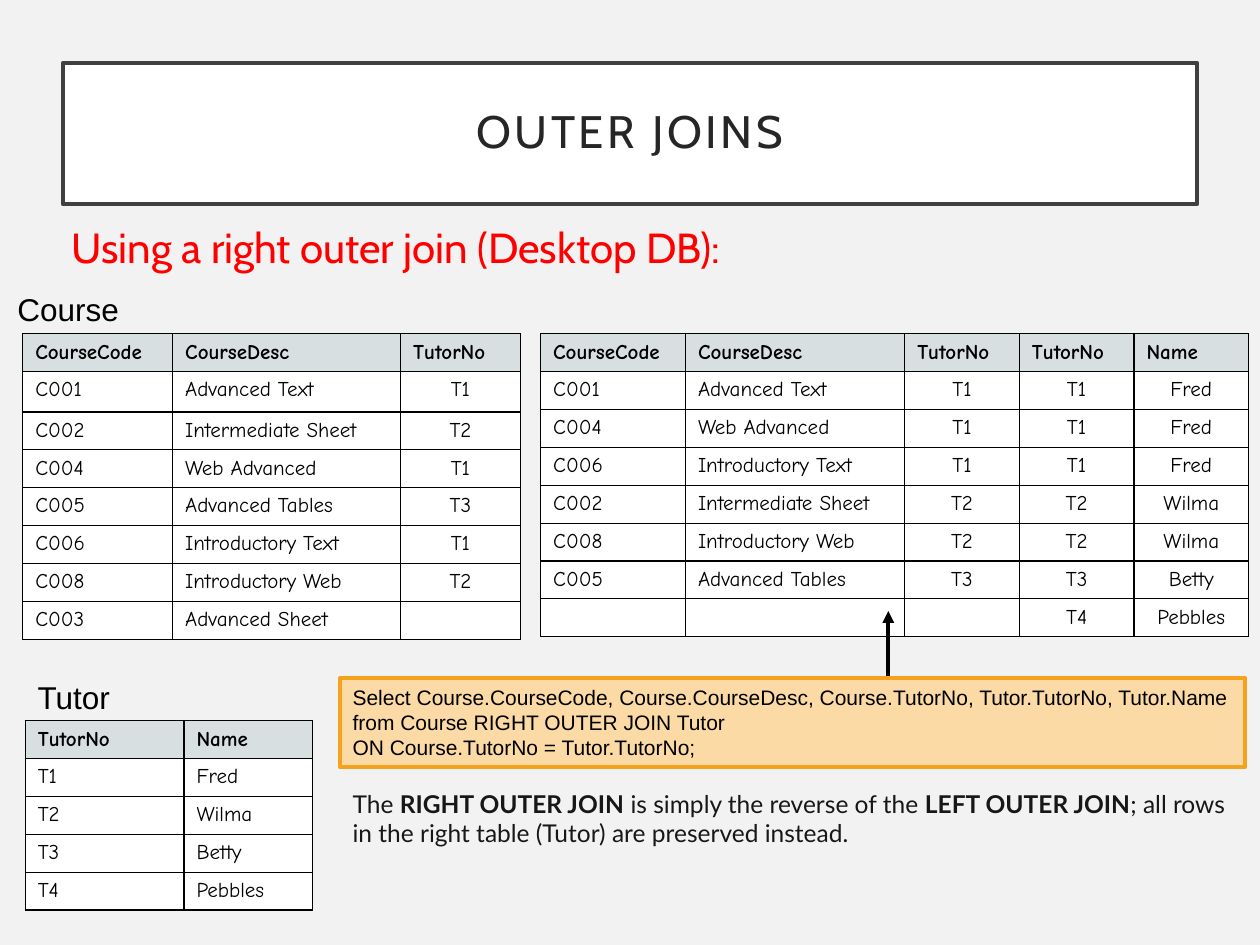
from lxml import etree
from pptx import Presentation
from pptx.dml.color import RGBColor
from pptx.enum import shapes, text
from pptx.oxml.ns import qn
from pptx.util import Inches, Pt

# Content
TITLE = "OUTER JOINS"
SUBTITLE = "Using a right outer join (Desktop DB):"
QUERY = [
    "Select Course.CourseCode, Course.CourseDesc, Course.TutorNo, Tutor.TutorNo, Tutor.Name",
    "from Course RIGHT OUTER JOIN Tutor",
    "ON Course.TutorNo = Tutor.TutorNo;",
]
EXPLANATION = [
    ("The ", False),
    ("RIGHT OUTER JOIN", True),
    (" is simply the reverse of the ", False),
    ("LEFT OUTER JOIN", True),
    ("; all rows in the right table (Tutor) are preserved instead.", False),
]
COURSES = [
    ("CourseCode", "CourseDesc", "TutorNo"),
    ("C001", "Advanced Text", "T1"),
    ("C002", "Intermediate Sheet", "T2"),
    ("C004", "Web Advanced", "T1"),
    ("C005", "Advanced Tables", "T3"),
    ("C006", "Introductory Text", "T1"),
    ("C008", "Introductory Web", "T2"),
    ("C003", "Advanced Sheet", ""),
]
TUTORS = [
    ("TutorNo", "Name"),
    ("T1", "Fred"),
    ("T2", "Wilma"),
    ("T3", "Betty"),
    ("T4", "Pebbles"),
]
JOINED_ROWS = [
    ("CourseCode", "CourseDesc", "TutorNo", "TutorNo", "Name"),
    ("C001", "Advanced Text", "T1", "T1", "Fred"),
    ("C004", "Web Advanced", "T1", "T1", "Fred"),
    ("C006", "Introductory Text", "T1", "T1", "Fred"),
    ("C002", "Intermediate Sheet", "T2", "T2", "Wilma"),
    ("C008", "Introductory Web", "T2", "T2", "Wilma"),
    ("C005", "Advanced Tables", "T3", "T3", "Betty"),
    ("", "", "", "T4", "Pebbles"),
]
# rows, left, top, column widths, first centred column, heights of unusual rows
TABLES = [
    (JOINED_ROWS, 4.29, 2.65, (1.15, 1.74, 0.91, 0.91, 0.91), 2, {}),
    (COURSES, 0.18, 2.65, (1.19, 1.81, 0.95), 2, {1: 0.32}),
    (TUTORS, 0.2, 5.72, (1.26, 1.02), 2, {}),
]
TABLE_NAMES = [("Course", 0.04, 2.25), ("Tutor", 0.2, 5.33)]
ROW_HEIGHT = 0.29
HANGING = Inches(0.38)

# Theme: colours, and styles as font, size, colour
THEME = {
    "background": "F2F2F2", "white": "FFFFFF", "frame": "404040", "black": "000000",
    "header": "D7DFE1", "query fill": "FBDAA5", "query line": "F6A21D",
    "title": ("Cabin", 26, "262626"),
    "subtitle": ("Cabin", 24, "FF0000"),
    "table name": ("Arial", 18, "000000"),
    "cell": ("Comic Neue", 12, "000000"),
    "query": ("Arial", 12, "000000"),
    "explanation": ("Lato", 14, "171717"),
}


def color(name):
    return RGBColor.from_string(THEME[name])


def add_run(paragraph, words, style, bold=False):
    family, size, rgb = THEME[style]
    run = paragraph.add_run()
    run.text = words
    run.font.name = family
    run.font.size = Pt(size)
    run.font.bold = bold
    run.font.color.rgb = RGBColor.from_string(rgb)
    return run


def add_text(slide, box, runs, style):
    frame = slide.shapes.add_textbox(*map(Inches, box)).text_frame
    frame.word_wrap = True
    for words, bold in runs:
        add_run(frame.paragraphs[0], words, style, bold)


def outline(shape, fill, line, width):
    shape.fill.solid()
    shape.fill.fore_color.rgb = color(fill)
    shape.line.color.rgb = color(line)
    shape.line.width = Pt(width)


def add_borders(cell):
    properties = cell._tc.get_or_add_tcPr()
    for index, side in enumerate(("lnL", "lnR", "lnT", "lnB")):
        line = etree.Element(qn(f"a:{side}"), w=str(Pt(0.75)))
        fill = etree.SubElement(line, qn("a:solidFill"))
        etree.SubElement(fill, qn("a:srgbClr"), val=THEME["black"])
        properties.insert(index, line)


def add_table(slide, rows, left, top, widths, centred_from, heights):
    row_heights = [heights.get(index, ROW_HEIGHT) for index in range(len(rows))]
    table = slide.shapes.add_table(
        len(rows), len(widths), Inches(left), Inches(top),
        Inches(sum(widths)), Inches(sum(row_heights))).table
    for column, width in zip(table.columns, widths):
        column.width = Inches(width)
    for row, height in zip(table.rows, row_heights):
        row.height = Inches(height)
    for row_index, values in enumerate(rows):
        is_header = row_index == 0
        for column_index, value in enumerate(values):
            cell = table.cell(row_index, column_index)
            cell.fill.solid()
            cell.fill.fore_color.rgb = color("header" if is_header else "white")
            add_borders(cell)
            paragraph = cell.text_frame.paragraphs[0]
            properties = paragraph._p.get_or_add_pPr()
            properties.set("marL", str(HANGING))
            properties.set("indent", str(-HANGING))
            if is_header:
                cell.vertical_anchor = text.MSO_ANCHOR.MIDDLE
            elif column_index >= centred_from:
                paragraph.alignment = text.PP_ALIGN.CENTER
            if value:
                add_run(paragraph, value, "cell", is_header)
            else:  # an empty cell must not stretch its row
                etree.SubElement(paragraph._p, qn("a:endParaRPr"),
                                 sz=str(THEME["cell"][1] * 100))


def main():
    presentation = Presentation()
    presentation.slide_width, presentation.slide_height = Inches(10), Inches(7.5)
    slide = presentation.slides.add_slide(presentation.slide_layouts[5])
    slide.background.fill.solid()
    slide.background.fill.fore_color.rgb = color("background")

    # Framed title
    title = slide.shapes.title
    title.left, title.top, title.width, title.height = map(Inches, (0.5, 0.5, 9, 1.12))
    outline(title, "white", "frame", 2.5)
    frame = title.text_frame
    frame.auto_size = text.MSO_AUTO_SIZE.NONE
    frame.vertical_anchor = text.MSO_ANCHOR.MIDDLE
    frame.margin_left = frame.margin_right = Inches(0.2)
    frame.margin_top = frame.margin_bottom = Inches(0.2)
    paragraph = frame.paragraphs[0]
    paragraph.alignment = text.PP_ALIGN.CENTER
    paragraph.line_spacing = 0.9
    run = add_run(paragraph, TITLE, "title")
    run.font._element.set("spc", "200")

    # Subtitle, tables and their names
    add_text(slide, (0.47, 1.71, 9.07, 0.63), [(SUBTITLE, False)], "subtitle")
    for table in TABLES:
        add_table(slide, *table)
    for name, left, top in TABLE_NAMES:
        add_text(slide, (left, top, 2.12, 0.4), [(name, False)], "table name")

    # Arrow from the query to the joined table
    arrow = slide.shapes.add_connector(
        shapes.MSO_CONNECTOR.STRAIGHT, *map(Inches, (7.05, 5.95, 7.05, 4.85)))
    arrow.line.color.rgb = color("black")
    arrow.line.width = Pt(2.25)
    etree.SubElement(arrow.line._get_or_add_ln(), qn("a:tailEnd"), type="triangle")
    etree.SubElement(arrow._element.spPr, qn("a:effectLst"))

    # Query
    query = slide.shapes.add_shape(
        shapes.MSO_SHAPE.RECTANGLE, *map(Inches, (2.7, 5.38, 7.18, 0.71)))
    query.shadow.inherit = False
    outline(query, "query fill", "query line", 2.25)
    frame = query.text_frame
    frame.word_wrap = True
    frame.vertical_anchor = text.MSO_ANCHOR.TOP
    for index, line in enumerate(QUERY):
        paragraph = frame.add_paragraph() if index else frame.paragraphs[0]
        paragraph.alignment = text.PP_ALIGN.LEFT
        add_run(paragraph, line, "query")

    # Explanation
    add_text(slide, (2.7, 6.21, 7.2, 0.57), EXPLANATION, "explanation")
    presentation.save("out.pptx")


if __name__ == "__main__":
    main()
